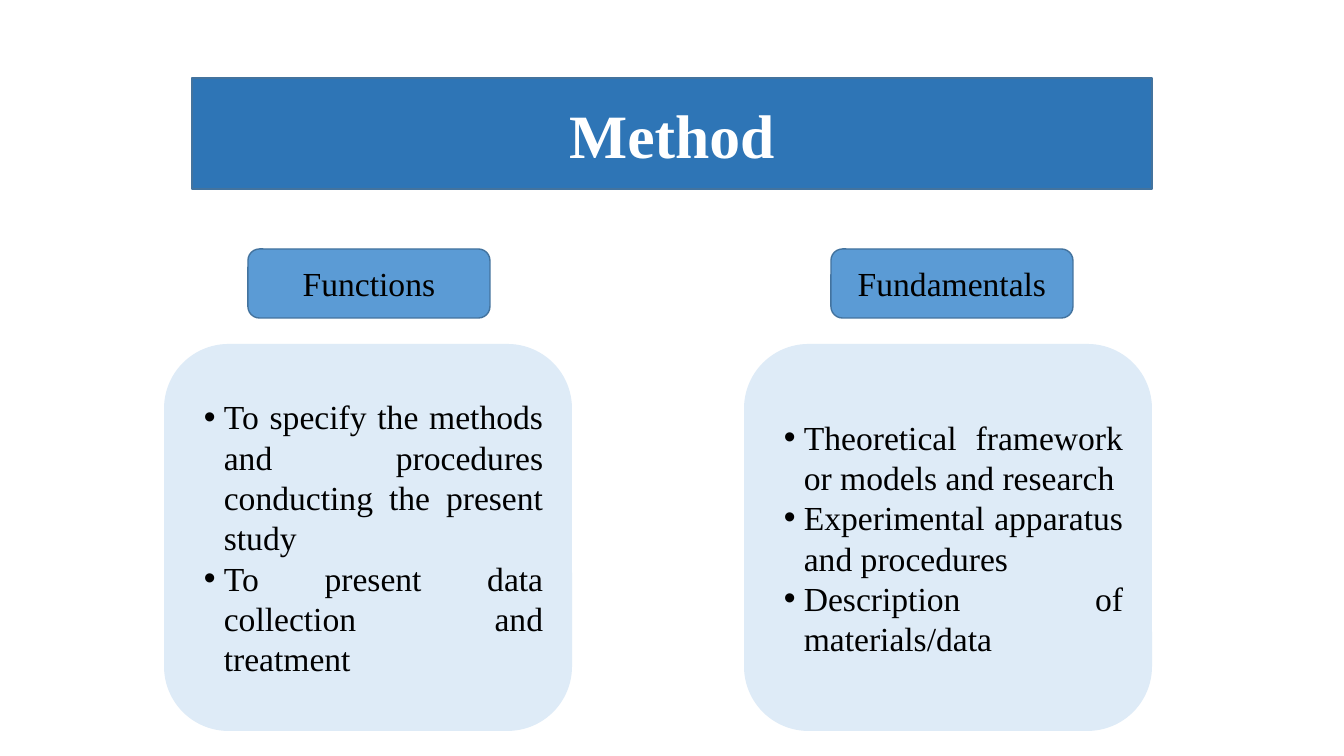
from dataclasses import dataclass

from lxml import etree
from pptx import Presentation
from pptx.dml.color import RGBColor
from pptx.enum.shapes import MSO_SHAPE
from pptx.enum.text import MSO_ANCHOR, PP_ALIGN
from pptx.oxml.ns import qn
from pptx.util import Emu, Pt

RECTANGLE = MSO_SHAPE.RECTANGLE
ROUNDED = MSO_SHAPE.ROUNDED_RECTANGLE
CENTER = PP_ALIGN.CENTER
JUSTIFY = PP_ALIGN.JUSTIFY
MIDDLE = MSO_ANCHOR.MIDDLE


@dataclass(frozen=True)
class Theme:
    font: str = "Times New Roman"
    bullet_font: str = "Arial"
    title_size: int = 44
    body_size: int = 24
    banner: str = "2E75B6"
    label: str = "5B9BD5"
    panel: str = "DEEBF7"
    outline: str = "43739E"
    light: str = "FFFFFF"
    dark: str = "000000"


@dataclass(frozen=True)
class Box:
    left: int
    top: int
    width: int
    height: int


@dataclass(frozen=True)
class Column:
    heading: str
    label_left: int
    panel_left: int
    points: tuple[str, ...]


THEME = Theme()
BANNER_BOX = Box(192, 78, 960, 111)
COLUMNS = (
    Column("Functions", 248, 164, (
        "To specify the methods and procedures conducting the present study",
        "To present data collection and treatment",
    )),
    Column("Fundamentals", 831, 744, (
        "Theoretical framework or models and research",
        "Experimental apparatus and procedures",
        "Description of materials/data",
    )),
)


def px(length: int) -> Emu:
    return Emu(round(length * 12192000 / 1344))


def add_box(slide, preset, box: Box, fill: str, outlined: bool):
    shape = slide.shapes.add_shape(
        preset, px(box.left), px(box.top), px(box.width), px(box.height))
    shape.shadow.inherit = False
    shape.fill.solid()
    shape.fill.fore_color.rgb = RGBColor.from_string(fill)
    if outlined:
        shape.line.color.rgb = RGBColor.from_string(THEME.outline)
        shape.line.width = Pt(1)
    else:
        shape.line.fill.background()
    return shape


def write_text(shape, lines: tuple[str, ...], size: int, color: str,
               alignment=CENTER, bold: bool = False) -> None:
    frame = shape.text_frame
    frame.word_wrap = True
    frame.vertical_anchor = MIDDLE
    frame.text = "\n".join(lines)
    for paragraph in frame.paragraphs:
        paragraph.alignment = alignment
        paragraph.font.name = THEME.font
        paragraph.font.size = Pt(size)
        paragraph.font.bold = bold
        paragraph.font.color.rgb = RGBColor.from_string(color)


def add_bullets(shape) -> None:
    for paragraph in shape.text_frame.paragraphs:
        properties = paragraph._p.get_or_add_pPr()
        properties.set("marL", str(px(31)))
        properties.set("indent", str(px(-20)))
        font = etree.Element(qn("a:buFont"), typeface=THEME.bullet_font)
        bullet = etree.Element(qn("a:buChar"), char="•")
        properties.insert(0, font)
        properties.insert(1, bullet)


def add_column(slide, column: Column) -> None:
    label = add_box(slide, ROUNDED, Box(column.label_left, 249, 242, 69),
                    THEME.label, outlined=True)
    write_text(label, (column.heading,), THEME.body_size, THEME.dark)

    panel = add_box(slide, ROUNDED, Box(column.panel_left, 344, 408, 387),
                    THEME.panel, outlined=False)
    write_text(panel, column.points, THEME.body_size, THEME.dark, JUSTIFY)
    add_bullets(panel)


def main() -> None:
    presentation = Presentation()
    presentation.slide_width = px(1344)
    presentation.slide_height = px(756)
    slide = presentation.slides.add_slide(presentation.slide_layouts[6])

    # Title banner
    banner = add_box(slide, RECTANGLE, BANNER_BOX, THEME.banner, outlined=True)
    write_text(banner, ("Method",), THEME.title_size, THEME.light, bold=True)

    # Heading and bullet panel of each column
    for column in COLUMNS:
        add_column(slide, column)

    presentation.save("out.pptx")


if __name__ == "__main__":
    main()
